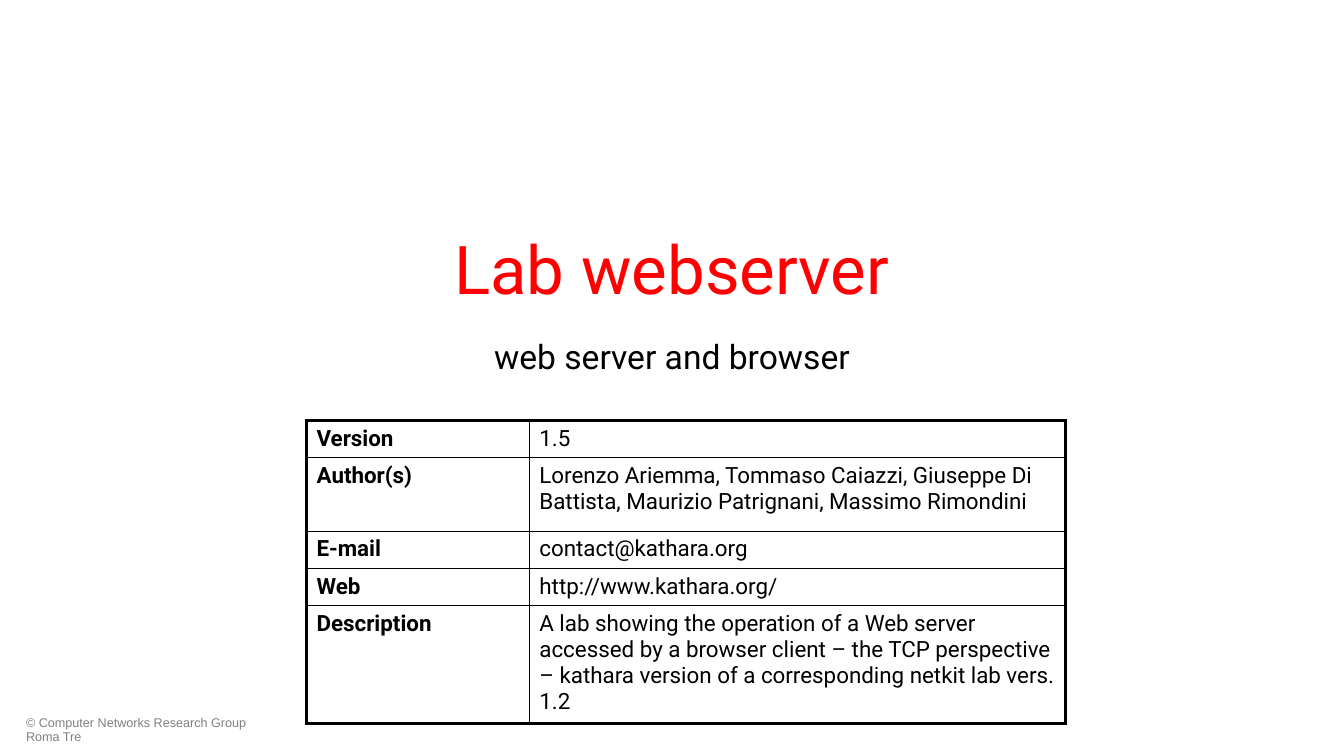
import lxml.etree
import pptx
import pptx.dml.color
import pptx.enum.text
import pptx.oxml.ns
import pptx.util

Inches = pptx.util.Inches
ALIGN = pptx.enum.text.PP_ALIGN
ANCHOR = pptx.enum.text.MSO_ANCHOR

BLACK, RED, GRAY = "000000", "FF0000", "808080"
THICK, THIN = 2.25, 1

LAB_DETAILS = [
    ("Version", "1.5", 0.37),
    ("Author(s)", "Lorenzo Ariemma, Tommaso Caiazzi, Giuseppe Di Battista, "
                  "Maurizio Patrignani, Massimo Rimondini", 0.73),
    ("E-mail", "contact@kathara.org", 0.37),
    ("Web", "http://www.kathara.org/", 0.37),
    ("Description", "A lab showing the operation of a Web server accessed by a "
                    "browser client – the TCP perspective – kathara version of "
                    "a corresponding netkit lab vers. 1.2", 1.13),
]
COLUMN_WIDTHS = (2.21, 5.32)


def color(value):
    return pptx.dml.color.RGBColor.from_string(value)


def write_text(frame, text, font_color, paragraph_format=None, **font_format):
    frame.word_wrap = True
    paragraph = frame.paragraphs[0]
    run = paragraph.add_run()
    run.text = text
    run.font.color.rgb = color(font_color)
    for name, value in font_format.items():
        setattr(run.font, name, value)
    for name, value in (paragraph_format or {}).items():
        setattr(paragraph, name, value)


def add_text(slide, box, text, font_color, paragraph_format,
             anchor=ANCHOR.TOP, **font_format):
    shape = slide.shapes.add_textbox(*(Inches(length) for length in box))
    shape.text_frame.vertical_anchor = anchor
    write_text(shape.text_frame, text, font_color, paragraph_format, **font_format)


def set_borders(cell, widths):
    """Draw solid black edges; widths maps L, R, T, B (in that order) to points."""
    properties = cell._tc.get_or_add_tcPr()
    for position, (side, width) in enumerate(widths.items()):
        line = lxml.etree.Element(pptx.oxml.ns.qn(f"a:ln{side}"),
                                  w=str(pptx.util.Pt(width)))
        fill = lxml.etree.SubElement(line, pptx.oxml.ns.qn("a:solidFill"))
        lxml.etree.SubElement(fill, pptx.oxml.ns.qn("a:srgbClr"), val=BLACK)
        properties.insert(position, line)


def add_details_table(slide, left, top, rows, column_widths):
    heights = [height for *_, height in rows]
    last_row, last_column = len(rows) - 1, len(column_widths) - 1
    table = slide.shapes.add_table(
        len(rows), len(column_widths), Inches(left), Inches(top),
        Inches(sum(column_widths)), Inches(sum(heights))).table
    table.first_row = table.horz_banding = False
    for column, width in zip(table.columns, column_widths):
        column.width = Inches(width)

    for row_index, (*texts, height) in enumerate(rows):
        table.rows[row_index].height = Inches(height)
        for column_index, text in enumerate(texts):
            cell = table.cell(row_index, column_index)
            cell.fill.background()
            write_text(cell.text_frame, text, BLACK, name="Roboto",
                       size=pptx.util.Pt(16), bold=column_index == 0)
            # Thick outer frame, thin inner grid
            set_borders(cell, {
                "L": THICK if column_index == 0 else THIN,
                "R": THICK if column_index == last_column else THIN,
                "T": THICK if row_index == 0 else THIN,
                "B": THICK if row_index == last_row else THIN,
            })


def main():
    presentation = pptx.Presentation()
    presentation.slide_width = Inches(13.33)
    presentation.slide_height = Inches(7.5)
    slide = presentation.slides.add_slide(presentation.slide_layouts[6])

    # Copyright line
    add_text(slide, (0.16, 7.06, 2.49, 0.36),
             "© Computer Networks Research Group Roma Tre", GRAY,
             {"line_spacing": 0.9}, name="Arial", size=pptx.util.Pt(9))

    # Title and subtitle
    centered = {"alignment": ALIGN.CENTER}
    add_text(slide, (1, 2.18, 11.33, 0.95), "Lab webserver", RED, centered,
             ANCHOR.MIDDLE, name="Roboto", size=pptx.util.Pt(48))
    add_text(slide, (2, 3.28, 9.33, 0.76), "web server and browser", BLACK,
             centered, name="Roboto", size=pptx.util.Pt(24))

    # Lab details
    add_details_table(slide, 3.04, 4.17, LAB_DETAILS, COLUMN_WIDTHS)

    presentation.save("out.pptx")


if __name__ == "__main__":
    main()
